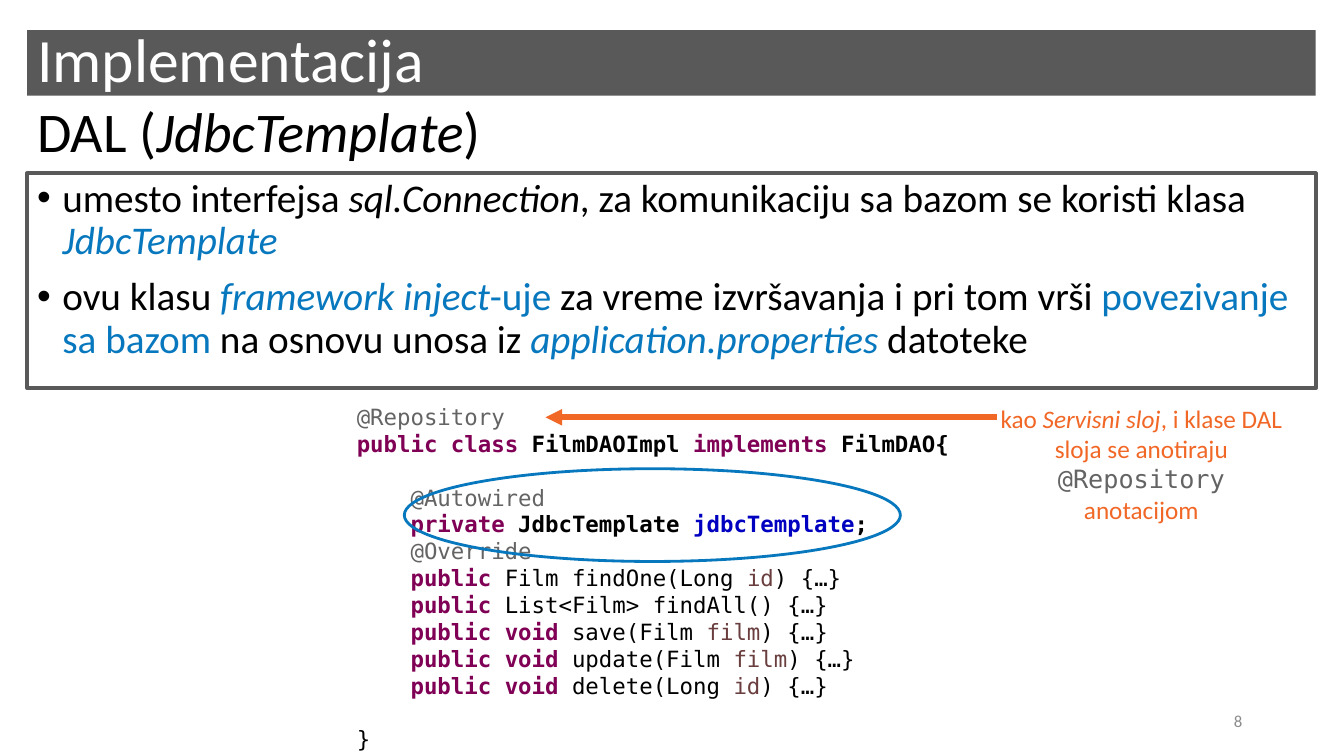
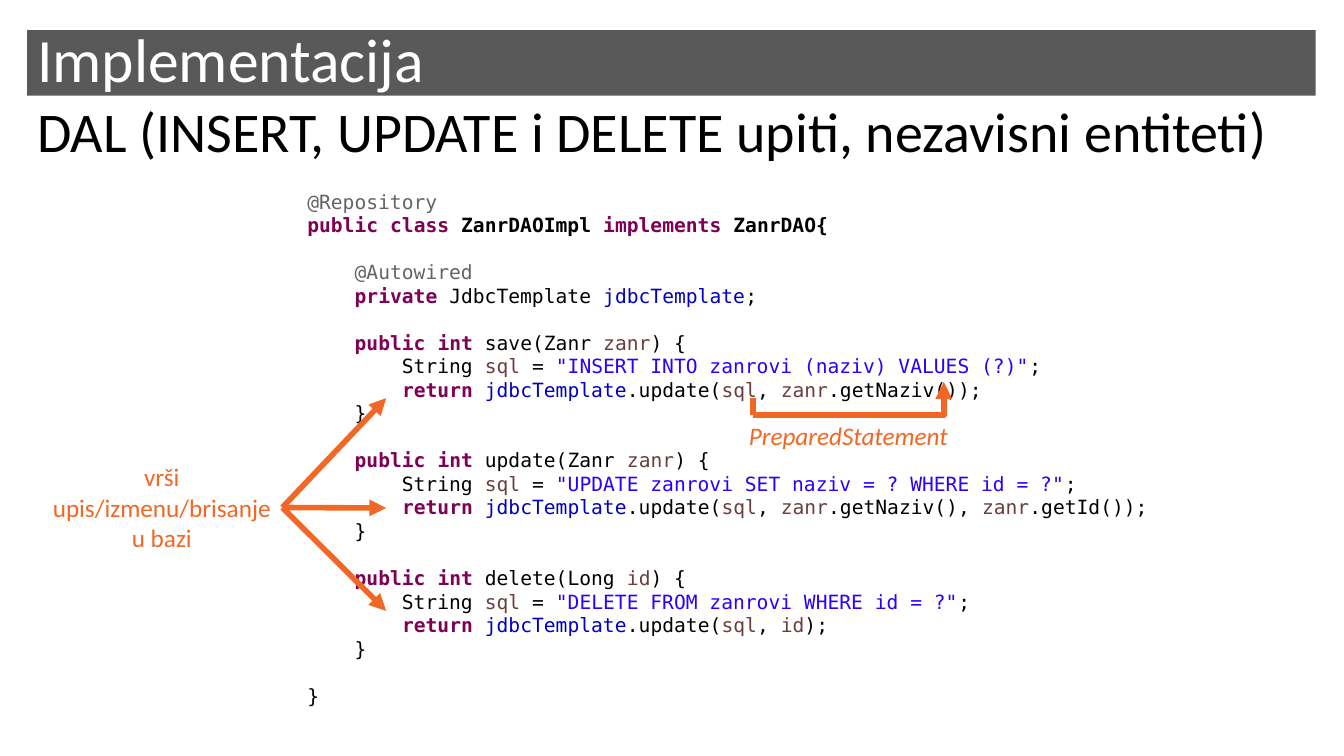
from itertools import groupby
from typing import NamedTuple

from lxml.etree import SubElement
from pptx import Presentation
from pptx.dml.color import RGBColor
from pptx.enum.shapes import MSO_CONNECTOR, MSO_SHAPE
from pptx.enum.text import MSO_ANCHOR, PP_ALIGN
from pptx.oxml.ns import qn
from pptx.util import Pt

PX = 9144
SANS = "Calibri"
MONO = "DejaVu Sans Mono"
BLACK = "000000"
WHITE = "FFFFFF"
GRAY = "595959"
PAGE_GRAY = "8C8C8C"
BLUE = "0878BE"
ORANGE = "F16726"
ANNOTATION = "646464"
KEYWORD = "7F0055"
STRING = "2A00FF"
WORD_COLORS = {
    **dict.fromkeys(["public", "private", "class", "implements", "void", "int", "return"], KEYWORD),
    **dict.fromkeys(["@Repository", "@Autowired", "@Override"], ANNOTATION),
    **dict.fromkeys(["id", "film", "zanr", "sql"], "6A3E3E"),
    "jdbcTemplate": "0000C0",
}
CONTENT_LEFT, CONTENT_WIDTH = 27, 1278

FILM_CODE = """\
@Repository
public class FilmDAOImpl implements FilmDAO{

    @Autowired
    private JdbcTemplate jdbcTemplate;
    @Override
    public Film findOne(Long id) {…}
    public List<Film> findAll() {…}
    public void save(Film film) {…}
    public void update(Film film) {…}
    public void delete(Long id) {…}

}"""

GENRE_CODE = """\
@Repository
public class ZanrDAOImpl implements ZanrDAO{

    @Autowired
    private JdbcTemplate jdbcTemplate;

    public int save(Zanr zanr) {
        String sql = "INSERT INTO zanrovi (naziv) VALUES (?)";
        return jdbcTemplate.update(sql, zanr.getNaziv());
    }

    public int update(Zanr zanr) {
        String sql = "UPDATE zanrovi SET naziv = ? WHERE id = ?";
        return jdbcTemplate.update(sql, zanr.getNaziv(), zanr.getId());
    }

    public int delete(Long id) {
        String sql = "DELETE FROM zanrovi WHERE id = ?";
        return jdbcTemplate.update(sql, id);
    }

}"""


class Run(NamedTuple):
    text: str
    color: str = BLACK
    italic: bool = False
    bold: bool = False
    font: str = SANS


def rgb(color):
    return RGBColor.from_string(color)


def px(*lengths):
    return [length * PX for length in lengths]


def add_runs(paragraph, runs, size):
    for item in runs:
        run = paragraph.add_run()
        run.text = item.text
        font = run.font
        font.name, font.size = item.font, Pt(size)
        font.bold, font.italic = item.bold, item.italic
        font.color.rgb = rgb(item.color)


def add_paragraphs(shape, paragraphs, size, align=PP_ALIGN.LEFT, anchor=MSO_ANCHOR.TOP,
                   line_spacing=1.0, bullets=False):
    frame = shape.text_frame
    frame.word_wrap = True
    frame.vertical_anchor = anchor
    for index, runs in enumerate(paragraphs):
        paragraph = frame.add_paragraph() if index else frame.paragraphs[0]
        paragraph.alignment = align
        paragraph.line_spacing = line_spacing
        if bullets:
            add_bullet(paragraph)
            if index:
                paragraph.space_before = Pt(10)
        add_runs(paragraph, runs, size)


def add_bullet(paragraph):
    properties = paragraph._p.get_or_add_pPr()
    properties.set("marL", str(25 * PX))
    properties.set("indent", str(-25 * PX))
    SubElement(properties, qn("a:buFont"), typeface="Arial")
    SubElement(properties, qn("a:buChar"), char="•")


def add_text(slide, box, paragraphs, size, **options):
    shape = slide.shapes.add_textbox(*px(*box))
    add_paragraphs(shape, paragraphs, size, **options)
    return shape


def add_shape(slide, kind, box, fill=None, line=None, width=0):
    shape = slide.shapes.add_shape(kind, *px(*box))
    shape.shadow.inherit = False
    if fill:
        shape.fill.solid()
        shape.fill.fore_color.rgb = rgb(fill)
    else:
        shape.fill.background()
    if line:
        shape.line.color.rgb = rgb(line)
        shape.line.width = Pt(width)
    else:
        shape.line.fill.background()
    return shape


def add_line(slide, start, end, kind=MSO_CONNECTOR.STRAIGHT, arrow=True):
    connector = slide.shapes.add_connector(kind, *px(*start, *end))
    connector.line.color.rgb = rgb(ORANGE)
    connector.line.width = Pt(4)
    if arrow:
        SubElement(connector.line._get_or_add_ln(), qn("a:tailEnd"), type="triangle")
    SubElement(connector._element.spPr, qn("a:effectLst"))
    return connector


def add_corner_arrow(slide, start, end):
    connector = add_line(slide, start, end, MSO_CONNECTOR.ELBOW)
    adjustments = connector._element.spPr.find(qn("a:prstGeom")).get_or_add_avLst()
    SubElement(adjustments, qn("a:gd"), name="adj1", fmla="val 100000")


def highlight(line, bold_line):
    tokens = []
    for index, part in enumerate(line.split('"')):
        if index % 2:
            tokens.append((f'"{part}"', STRING))
            continue
        for _, letters in groupby(part, lambda letter: letter.isalnum() or letter == "@"):
            word = "".join(letters)
            tokens.append((word, WORD_COLORS.get(word, BLACK)))
    return [
        Run("".join(word for word, _ in group), color, bold=bold_line or color == KEYWORD, font=MONO)
        for color, group in groupby(tokens, lambda token: token[1])
    ]


def add_code(slide, box, code, size, bold_lines):
    frame = slide.shapes.add_textbox(*px(*box)).text_frame
    frame.word_wrap = True
    paragraph, gap = frame.paragraphs[0], 0
    for number, line in enumerate(code.splitlines(), 1):
        if not line:
            gap += size * 1.2
            continue
        if number > 1:
            paragraph = frame.add_paragraph()
            paragraph.space_before = Pt(gap)
        add_runs(paragraph, highlight(line, number in bold_lines), size)
        gap = 0


def add_slide(presentation, subtitle):
    slide = presentation.slides.add_slide(presentation.slide_layouts[6])
    band = add_shape(slide, MSO_SHAPE.RECTANGLE, (CONTENT_LEFT, 30, CONTENT_WIDTH, 65), fill=GRAY)
    heading = {"anchor": MSO_ANCHOR.MIDDLE, "line_spacing": 0.9}
    add_paragraphs(band, [[Run("Implementacija", WHITE)]], 44, **heading)
    add_text(slide, (CONTENT_LEFT, 105, CONTENT_WIDTH, 57), [subtitle], 40, **heading)
    return slide


def add_label(slide, box, *paragraphs):
    return add_text(slide, box, paragraphs, 18, align=PP_ALIGN.CENTER)


def build_template_slide(presentation):
    slide = add_slide(presentation, [Run("DAL ("), Run("JdbcTemplate", italic=True), Run(")")])
    add_text(slide, (942, 695, 300, 40), [[Run("8", PAGE_GRAY)]], 12,
             align=PP_ALIGN.RIGHT, anchor=MSO_ANCHOR.MIDDLE)
    add_code(slide, (344, 395, 645, 360), FILM_CODE, 16, {2, 5})
    add_label(
        slide, (959, 395, 346, 131),
        [Run("kao ", ORANGE), Run("Servisni sloj", ORANGE, True),
         Run(", i klase DAL sloja se anotiraju ", ORANGE),
         Run("@Repository", ANNOTATION, font=MONO)],
        [Run("anotacijom", ORANGE)],
    )
    add_line(slide, (989, 414), (541, 414))
    body = add_shape(slide, MSO_SHAPE.RECTANGLE, (CONTENT_LEFT, 172, CONTENT_WIDTH, 213),
                     line=GRAY, width=3)
    add_paragraphs(body, [
        [Run("umesto interfejsa "), Run("sql.Connection", italic=True),
         Run(", za komunikaciju sa bazom se koristi klasa "), Run("JdbcTemplate", BLUE, True)],
        [Run("ovu klasu "), Run("framework inject", BLUE, True), Run("-uje ", BLUE),
         Run("za vreme izvršavanja i pri tom vrši "), Run("povezivanje sa bazom", BLUE),
         Run(" na osnovu unosa iz "), Run("application.properties", BLUE, True),
         Run(" datoteke")],
    ], 28, line_spacing=0.9, bullets=True)
    add_shape(slide, MSO_SHAPE.OVAL, (401, 465, 492, 92), line=BLUE, width=2)


def build_queries_slide(presentation):
    slide = add_slide(presentation, [Run("DAL (INSERT, UPDATE i DELETE upiti, nezavisni entiteti)")])
    add_code(slide, (295, 183, 937, 528), GENRE_CODE, 14, {2})
    add_corner_arrow(slide, (747, 412), (936, 379))
    add_line(slide, (747, 395), (747, 412), arrow=False)
    add_label(slide, (728, 412, 227, 40), [Run("PreparedStatement", ORANGE, True)])
    label = add_label(slide, (41, 453, 239, 101),
                      [Run("vrši upis/izmenu/brisanje u bazi", ORANGE)])
    for target in (395, 504, 606):
        add_line(slide, (280, 504), (383, target)).begin_connect(label, 3)


def main():
    presentation = Presentation()
    presentation.slide_width, presentation.slide_height = px(1333, 750)
    build_template_slide(presentation)
    build_queries_slide(presentation)
    presentation.save("out.pptx")


if __name__ == "__main__":
    main()
